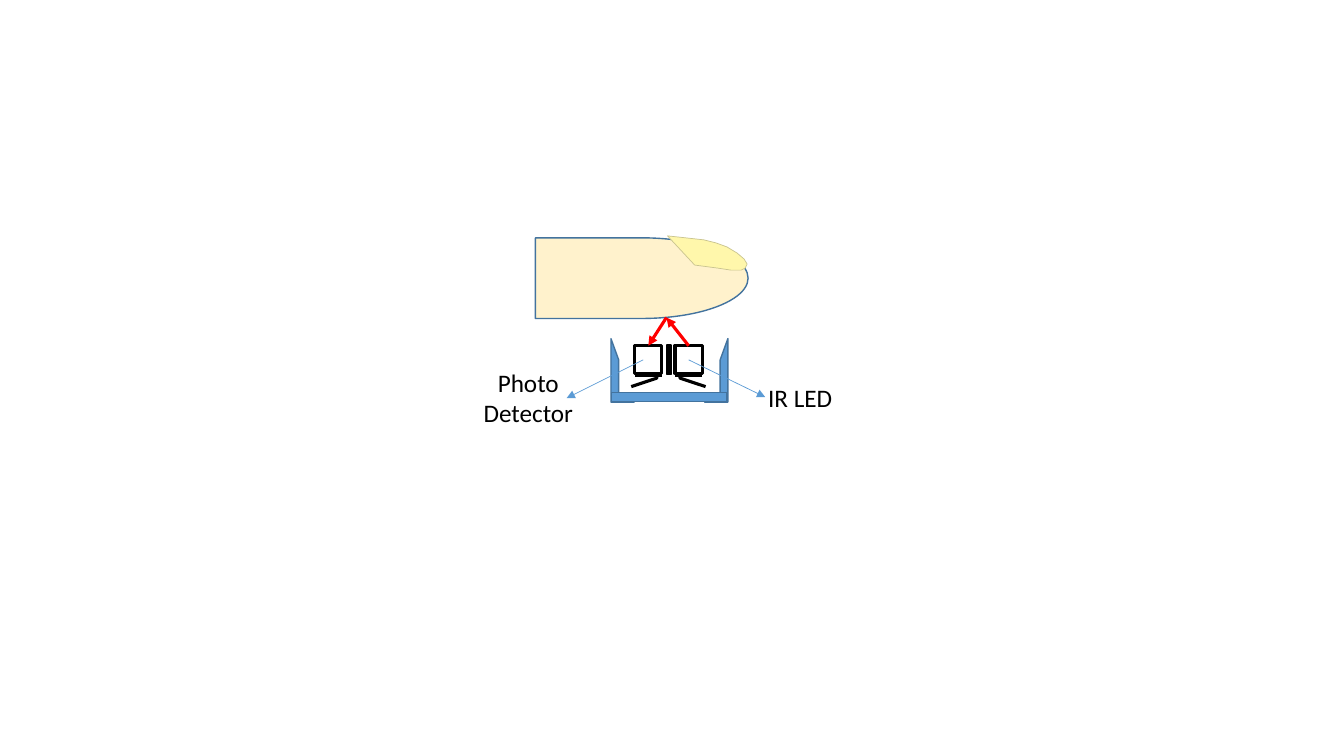
from lxml import etree
from pptx import Presentation
from pptx import util as u
from pptx.dml.color import RGBColor
from pptx.enum import shapes, text
from pptx.oxml import ns

COLORS = {
    "skin": "FFF2CC", "nail": "FFF7AB", "nail_edge": "C9C48F",
    "blue": "5B9BD5", "edge": "43739E", "black": "000000", "light": "FF0000",
}
KINDS = shapes.MSO_SHAPE
NAIL_OUTLINE = [
    (6.62, 2.34), (6.8, 2.36), (6.98, 2.38), (7.1, 2.41), (7.21, 2.45),
    (7.31, 2.51), (7.38, 2.57), (7.41, 2.62), (7.39, 2.66), (7.35, 2.68),
    (7.25, 2.68), (7.12, 2.66), (6.89, 2.63),
]


def color(name):
    return RGBColor.from_string(COLORS[name])


def apply(target, values):
    for name, value in values.items():
        setattr(target, name, value)


def paint(shape, fill, line, width):
    shape.shadow.inherit = False
    if fill:
        shape.fill.solid()
        shape.fill.fore_color.rgb = color(fill)
    else:
        shape.fill.background()
    shape.line.color.rgb = color(line)
    shape.line.width = u.Pt(width)


def add_part(group, kind, place, fill, line="edge", width=1, rotation=0, flips=()):
    shape = group.shapes.add_shape(kind, *map(u.Inches, place))
    paint(shape, fill, line, width)
    shape.rotation = rotation
    for flip in flips:
        shape._element.spPr.xfrm.set(flip, "1")


def add_nail(group):
    points = [(u.Inches(x), u.Inches(y)) for x, y in NAIL_OUTLINE]
    builder = group.shapes.build_freeform(*points[0])
    builder.add_line_segments(points[1:], close=True)
    paint(builder.convert_to_shape(), "nail", "nail_edge", 0.5)


def add_arrow(group, start, end, line, width):
    arrow = group.shapes.add_connector(
        shapes.MSO_CONNECTOR.STRAIGHT, *map(u.Inches, start + end))
    arrow.line.color.rgb = color(line)
    arrow.line.width = u.Pt(width)
    etree.SubElement(arrow.line._get_or_add_ln(), ns.qn("a:tailEnd"), type="triangle")
    etree.SubElement(arrow._element.spPr, ns.qn("a:effectLst"))


def add_label(group, place, lines, alignment):
    box = group.shapes.add_textbox(*map(u.Inches, place))
    frame = box.text_frame
    apply(frame, {"word_wrap": False, "auto_size": text.MSO_AUTO_SIZE.SHAPE_TO_FIT_TEXT})
    for index, line in enumerate(lines):
        para = frame.paragraphs[0] if index == 0 else frame.add_paragraph()
        para.alignment = alignment
        span = para.add_run()
        span.text = line
        apply(span.font, {"name": "Calibri", "size": u.Pt(18)})
        span.font.color.rgb = color("black")


def main():
    deck = Presentation()
    apply(deck, {"slide_width": u.Inches(13.33), "slide_height": u.Inches(7.5)})
    page = deck.slides.add_slide(deck.slide_layouts[6])
    sensor = page.shapes.add_group_shape()

    add_part(sensor, KINDS.FLOWCHART_DELAY, (5.31, 2.36, 2.11, 0.8), "skin")
    add_nail(sensor)
    for left, rotation, flips in ((6.69, 270, ()), (6.29, 90, ("flipH",))):
        add_part(sensor, KINDS.LINE_CALLOUT_2_BORDER_AND_ACCENT_BAR,
                 (left, 3.43, 0.28, 0.27), None, "black", 2.25, rotation, flips)
    for left, flips in ((6.06, ("flipV",)), (6.99, ("flipH", "flipV"))):
        add_part(sensor, KINDS.HALF_FRAME, (left, 3.36, 0.23, 0.63), "blue", flips=flips)
    add_part(sensor, KINDS.MATH_MINUS, (5.86, 3.76, 1.56, 0.36), "blue")
    add_part(sensor, KINDS.MATH_MINUS, (6.61, 2.94, 0.05, 1.26), "black", "black")

    fingertip = (6.61, 3.15)
    add_arrow(sensor, (6.83, 3.43), fingertip, "light", 2.25)
    add_arrow(sensor, fingertip, (6.43, 3.43), "light", 2.25)
    add_arrow(sensor, (6.83, 3.57), (7.59, 3.94), "blue", 0.5)
    add_arrow(sensor, (6.38, 3.57), (5.62, 3.95), "blue", 0.5)

    add_label(sensor, (7.52, 3.74, 0.85, 0.4), ["IR LED"], text.PP_ALIGN.LEFT)
    add_label(sensor, (4.69, 3.59, 1.1, 0.71), ["Photo", "Detector"], text.PP_ALIGN.CENTER)
    deck.save("out.pptx")


if __name__ == "__main__":
    main()
